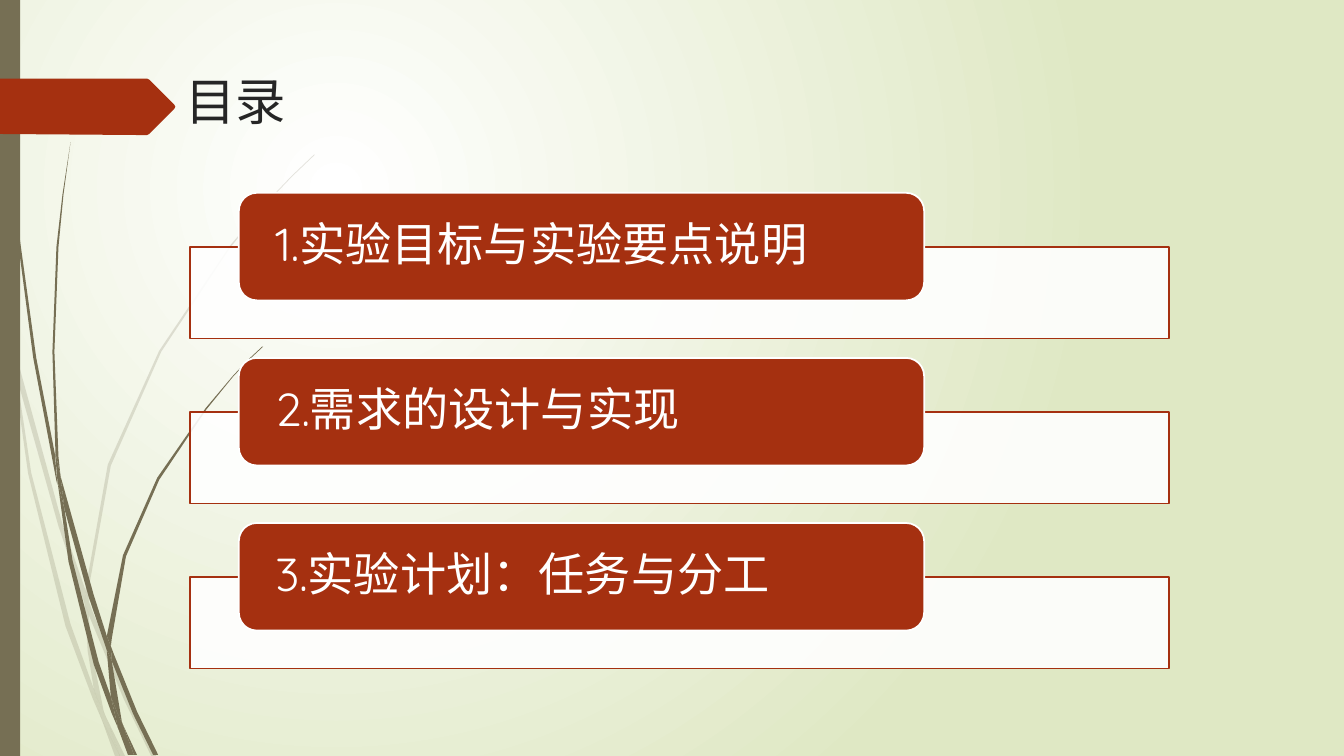
from lxml.etree import SubElement
from pptx import Presentation
from pptx.dml.color import RGBColor
from pptx.enum.shapes import MSO_SHAPE
from pptx.enum.text import MSO_ANCHOR, PP_ALIGN
from pptx.oxml.ns import qn
from pptx.util import Cm, Pt

OLIVE = RGBColor(0x76, 0x6F, 0x54)
RUST = RGBColor(0xA5, 0x30, 0x10)
WHITE = RGBColor(0xFF, 0xFF, 0xFF)
PALE_GREEN = RGBColor(0xDF, 0xE8, 0xC4)
INK = RGBColor(0x26, 0x26, 0x26)
FONT = "Quicksand"

# Outlines of the grass blades and the title marker, in hundredths of an inch
UNIT = Cm(2.54) / 100

FAINT_BLADES = [
    [(11, 350), (9, 322), (0, 282), (0, 299), (10, 344)],
    [(58, 522), (84, 599), (85, 586), (62, 520), (14, 345), (17, 376)],
    [(92, 607), (88, 596), (88, 610), (123, 694), (150, 750), (155, 750), (127, 692)],
    [(119, 750), (124, 750), (105, 711)],
    [(93, 683), (70, 619), (31, 469), (17, 376), (11, 350), (28, 470), (65, 621),
     (92, 693), (101, 714), (99, 707)],
    [(84, 599), (87, 646), (93, 683), (96, 692), (105, 711), (103, 706), (91, 646),
     (88, 610), (88, 608)],
    [(88, 584), (110, 462), (160, 349), (229, 245), (268, 198), (290, 175), (312, 154),
     (312, 153), (289, 175), (268, 197), (228, 244), (158, 348), (107, 461), (85, 584),
     (85, 586), (88, 596)],
    [(101, 714), (114, 750), (119, 750)],
    [(88, 608), (88, 610), (88, 596), (85, 586), (84, 599)],
    [(96, 692), (93, 683), (99, 707), (101, 714), (119, 750), (105, 711)],
]

DARK_BLADES = [
    [(7, 110), (17, 233), (33, 355), (56, 477), (57, 481), (55, 457), (55, 453),
     (36, 355), (19, 232), (8, 109), (5, 48), (4, 0), (3, 0), (4, 48)],
    [(88, 592), (106, 645), (106, 633), (106, 631), (93, 590), (60, 472), (64, 505)],
    [(113, 649), (110, 641), (111, 656), (132, 708), (152, 749), (157, 749), (136, 706)],
    [(110, 691), (98, 657), (72, 556), (64, 505), (57, 477), (68, 557), (93, 659),
     (111, 708), (117, 722), (116, 717)],
    [(60, 472), (58, 453), (54, 349), (58, 245), (63, 193), (70, 141), (62, 193),
     (56, 245), (52, 349), (55, 449)],
    [(133, 749), (136, 749), (122, 719)],
    [(57, 477), (64, 505), (60, 472), (55, 449), (55, 453)],
    [(111, 633), (125, 552), (158, 476), (205, 406), (231, 374), (245, 359), (261, 344),
     (260, 344), (245, 358), (231, 373), (204, 405), (156, 474), (122, 551), (106, 631),
     (110, 641)],
    [(117, 722), (127, 749), (131, 749)],
    [(106, 645), (110, 691), (116, 706), (122, 719), (121, 716), (111, 656), (109, 651)],
    [(106, 645), (109, 651), (111, 656), (110, 641), (106, 631), (106, 633)],
    [(116, 706), (110, 691), (116, 717), (117, 722), (130, 749), (133, 749), (122, 719)],
]

TITLE_MARKER = [(0, 78), (146, 78), (148, 79), (173, 104), (174, 106), (173, 108),
                (148, 133), (146, 134), (136, 134), (0, 133)]

CHAPTERS = ["1.实验目标与实验要点说明", "2.需求的设计与实现", "3.实验计划：任务与分工"]


class Sketch:
    """Holds the current slide and the style of its elements."""

    def __init__(self, slide, font):
        self.slide = slide
        self.font = font

    def background(self, inner, outer):
        fill = self.slide.background.fill
        fill.gradient()
        for stop, color in zip(fill.gradient_stops, (inner, outer)):
            stop.color.rgb = color
        gradient = self.slide.element.find(".//" + qn("a:gradFill"))
        gradient.remove(gradient.find(qn("a:lin")))
        circle = SubElement(gradient, qn("a:path"), {"path": "circle"})
        SubElement(circle, qn("a:fillToRect"),
                   {"l": "50000", "t": "50000", "r": "100000", "b": "100000"})

    def paint(self, shape, color, opacity=100, line=None):
        shape.shadow.inherit = False
        shape.fill.solid()
        shape.fill.fore_color.rgb = color
        if opacity < 100:
            tint = shape.element.spPr.find(qn("a:solidFill"))[0]
            SubElement(tint, qn("a:alpha"), {"val": str(opacity * 1000)})
        if line is None:
            shape.line.fill.background()
        else:
            shape.line.color.rgb = line
            shape.line.width = Pt(1.25)
        return shape

    def outline(self, points, color, opacity=100):
        builder = self.slide.shapes.build_freeform(*points[0], scale=UNIT)
        builder.add_line_segments(points[1:], close=True)
        return self.paint(builder.convert_to_shape(), color, opacity)

    def box(self, kind, left, top, width, height, color, opacity=100, line=None):
        shape = self.slide.shapes.add_shape(kind, left, top, width, height)
        return self.paint(shape, color, opacity, line)

    def lettering(self, shape, text, size, color, spacing=1.0):
        frame = shape.text_frame
        frame.word_wrap = True
        frame.text = text
        paragraph = frame.paragraphs[0]
        paragraph.alignment = PP_ALIGN.LEFT
        paragraph.line_spacing = spacing
        paragraph.font.name = self.font
        paragraph.font.size = Pt(size)
        paragraph.font.color.rgb = color
        return frame

    def title(self, text, left, top, width, height):
        holder = self.slide.shapes.add_textbox(left, top, width, height)
        self.lettering(holder, text, 36, INK)

    def chapter(self, text, top):
        self.box(MSO_SHAPE.RECTANGLE, Cm(4.78), top + Cm(1.36), Cm(24.69), Cm(2.31),
                 WHITE, opacity=90, line=RUST)
        label = self.box(MSO_SHAPE.ROUNDED_RECTANGLE, Cm(6.02), top, Cm(17.27), Cm(2.71),
                         RUST, line=WHITE)
        frame = self.lettering(label, text, 33, WHITE, spacing=0.9)
        frame.vertical_anchor = MSO_ANCHOR.MIDDLE
        frame.margin_left = frame.margin_right = Cm(0.79)
        frame.margin_top = frame.margin_bottom = 0


deck = Presentation()
deck.slide_width, deck.slide_height = Cm(33.87), Cm(19.05)
contents = Sketch(deck.slides.add_slide(deck.slide_layouts[6]), FONT)

# Backdrop: gradient, grass and left band
contents.background(WHITE, PALE_GREEN)
for blades, opacity in ((FAINT_BLADES, 20), (DARK_BLADES, 100)):
    for blade in blades:
        contents.outline(blade, OLIVE, opacity)
contents.box(MSO_SHAPE.RECTANGLE, 0, 0, Cm(0.51), deck.slide_height, OLIVE)

# Title with its marker
contents.outline(TITLE_MARKER, RUST)
contents.title("目录", Cm(4.42), Cm(1.63), Cm(23.39), Cm(3.56))

# Chapter list
for row, chapter_name in enumerate(CHAPTERS):
    contents.chapter(chapter_name, Cm(4.86) + row * Cm(4.16))

deck.save("out.pptx")
